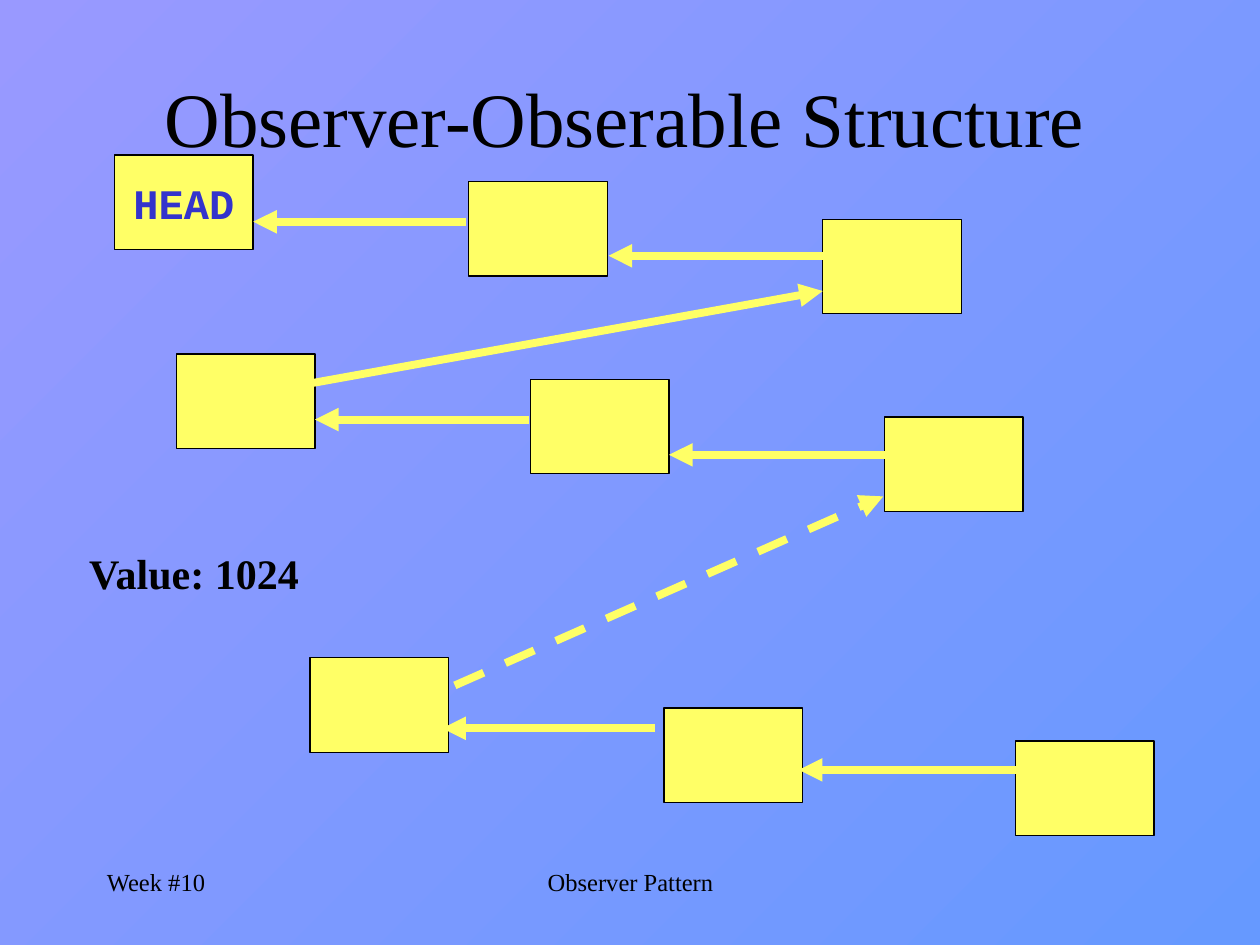
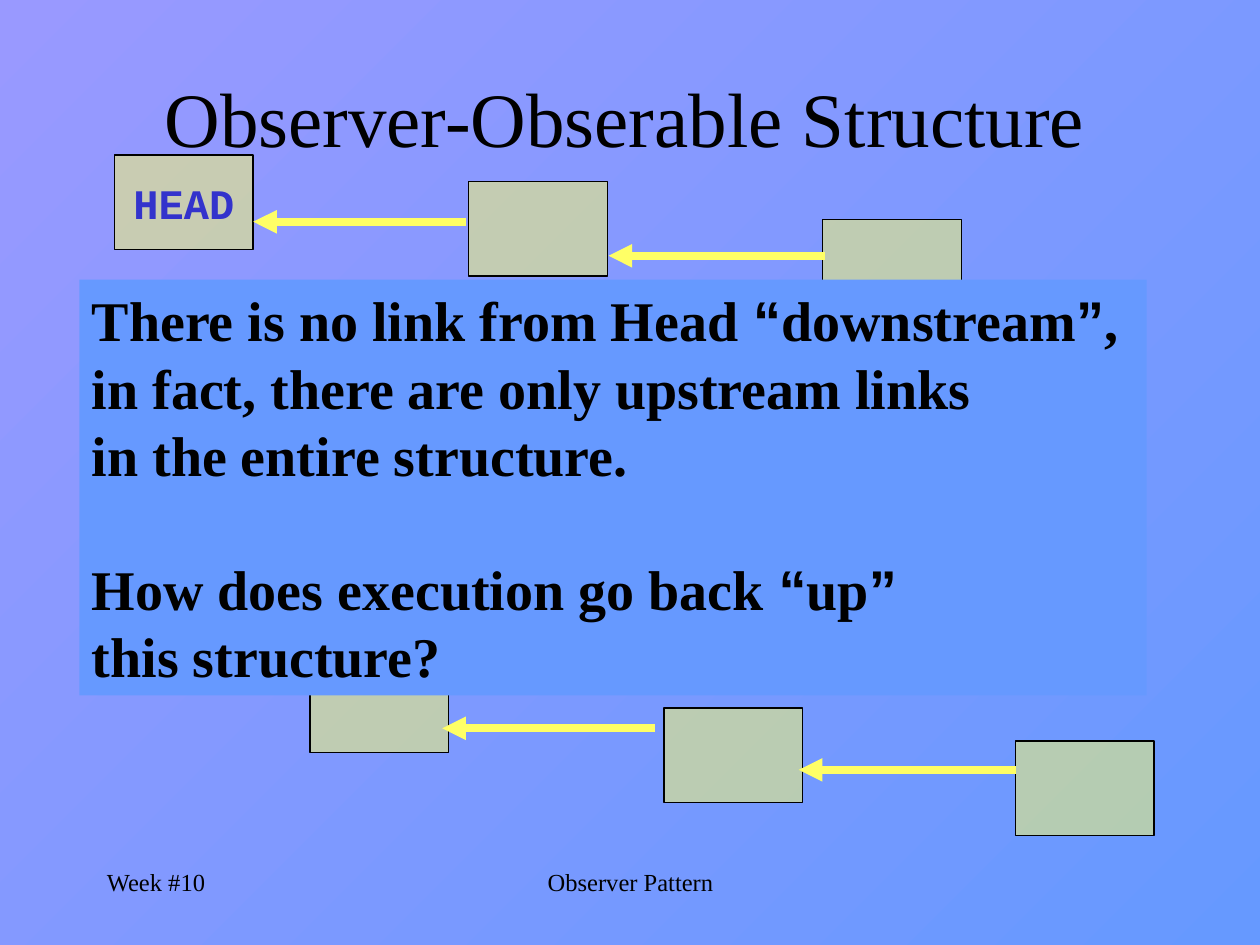
"""Build two slides about the observer structure and its upstream links."""
from lxml import etree
from pptx import Presentation
from pptx.dml.color import RGBColor
from pptx.enum.dml import MSO_LINE
from pptx.enum.shapes import MSO_CONNECTOR, MSO_SHAPE
from pptx.enum.text import MSO_ANCHOR, PP_ALIGN
from pptx.oxml.ns import qn
from pptx.util import Inches, Pt

DASH = MSO_LINE.DASH
STRAIGHT = MSO_CONNECTOR.STRAIGHT
RECTANGLE = MSO_SHAPE.RECTANGLE
TOP, MIDDLE = MSO_ANCHOR.TOP, MSO_ANCHOR.MIDDLE
LEFT, CENTER = PP_ALIGN.LEFT, PP_ALIGN.CENTER

COLORS = {
    "lilac": "9999FF",
    "sky": "6699FF",
    "yellow": "FFFF66",
    "ink": "000000",
    "head": "3333CC",
}
SERIF, SANS, MONO = "Times New Roman", "Arial", "Courier New"

TITLE = "Observer-Obserable Structure"
WEEK = "Week #10"
TOPIC = "Observer Pattern"
HEAD = "HEAD"
VALUE = "Value: 1024"
QUESTION = [
    "There is no link from Head “downstream”,",
    "in fact, there are only upstream links",
    "in the entire structure.",
    "How does execution go back “up”",
    "this structure?",
]
QUESTION_START = 3
QUESTION_PITCH = 38.4

NODE_SIZE = (1.1, 0.75)
TOP_NODES = [(0.91, 1.23), (3.72, 1.44), (6.53, 1.74)]
MIDDLE_NODES = [(1.4, 2.81), (4.21, 3.01), (7.02, 3.31)]
BOTTOM_NODES = [(2.46, 5.22), (5.27, 5.62), (8.06, 5.88)]

OUTER_LINKS = [
    ((3.7, 1.76), (2.01, 1.76)),
    ((6.55, 2.03), (4.83, 2.03)),
    ((5.2, 5.78), (3.51, 5.78)),
    ((8.06, 6.11), (6.34, 6.11)),
]
MIDDLE_LINKS = [
    ((4.2, 3.33), (2.5, 3.33)),
    ((7.06, 3.61), (5.31, 3.61)),
    ((2.48, 3.04), (6.53, 2.31)),
]
SKIPPED_LINK = ((3.61, 5.44), (7.01, 3.94))


def rgb(name):
    return RGBColor.from_string(COLORS[name])


def style_span(span, size, bold=False, font=SERIF, color="ink"):
    span.font.size = Pt(size)
    span.font.bold = bold
    span.font.name = font
    span.font.color.rgb = rgb(color)


def add_text(page, area, text, size, align=LEFT, anchor=TOP, bold=False):
    box = page.shapes.add_textbox(*map(Inches, area))
    frame = box.text_frame
    frame.word_wrap = True
    frame.vertical_anchor = anchor
    frame.text = text
    para = frame.paragraphs[0]
    para.alignment = align
    style_span(para.runs[0], size, bold)


def add_box(page, area, color):
    box = page.shapes.add_shape(RECTANGLE, *map(Inches, area))
    box.shadow.inherit = False
    box.fill.solid()
    box.fill.fore_color.rgb = rgb(color)
    box.line.fill.background()
    return box


def add_node(page, corner, opacity):
    node = add_box(page, corner + NODE_SIZE, "yellow")
    if opacity < 100:
        fill_color = node._element.spPr.find(qn("a:solidFill")).find(qn("a:srgbClr"))
        etree.SubElement(fill_color, qn("a:alpha"), val=str(opacity * 1000))
    node.line.color.rgb = rgb("ink")
    node.line.width = Pt(0.75)
    return node


def add_nodes(page, corners, opacity):
    head, *_ = [add_node(page, corner, opacity) for corner in corners]
    frame = head.text_frame
    frame.word_wrap = False
    frame.vertical_anchor = MIDDLE
    frame.text = HEAD
    para = frame.paragraphs[0]
    para.alignment = CENTER
    style_span(para.runs[0], 24, True, MONO, "head")


def add_link(page, start, end, dash=None):
    link = page.shapes.add_connector(STRAIGHT, *map(Inches, start + end))
    link.line.color.rgb = rgb("yellow")
    link.line.width = Pt(4.5)
    if dash is not None:
        link.line.dash_style = dash
    properties = link._element.spPr
    etree.SubElement(properties.find(qn("a:ln")), qn("a:tailEnd"), type="triangle")
    etree.SubElement(properties, qn("a:effectLst"))


def add_question(page):
    panel = add_box(page, (0.63, 2.22, 8.47, 3.3), "sky")
    frame = panel.text_frame
    frame.word_wrap = True
    frame.vertical_anchor = TOP
    frame.text = "\n".join(QUESTION)
    for index, para in enumerate(frame.paragraphs):
        para.alignment = LEFT
        para.line_spacing = Pt(QUESTION_PITCH)
        if index == QUESTION_START:
            para.space_before = Pt(QUESTION_PITCH)
        pieces = para.text.replace("“", "|“|").replace("”", "|”|").split("|")
        para.text = ""
        for piece in filter(None, pieces):
            span = para.add_run()
            span.text = piece
            style_span(span, 32, True, SANS if piece in "“”" else SERIF)


def add_page(deck):
    page = deck.slides.add_slide(deck.slide_layouts[6])
    fill = page.background.fill
    fill.gradient()
    fill.gradient_angle = 315
    for stop, name in zip(fill.gradient_stops, ("lilac", "sky")):
        stop.color.rgb = rgb(name)
    add_text(page, (0.75, 6.83, 2.08, 0.5), WEEK, 14)
    add_text(page, (3.42, 6.83, 3.17, 0.5), TOPIC, 14, CENTER)
    add_text(page, (0.71, 0.3, 8.5, 1.25), TITLE, 44, CENTER, MIDDLE)
    return page


def main():
    deck = Presentation()
    deck.slide_width, deck.slide_height = Inches(10), Inches(7.5)

    structure = add_page(deck)
    add_nodes(structure, TOP_NODES + MIDDLE_NODES + BOTTOM_NODES, 100)
    for start, end in OUTER_LINKS + MIDDLE_LINKS:
        add_link(structure, start, end)
    add_link(structure, *SKIPPED_LINK, DASH)
    add_text(structure, (0.61, 4.3, 2.09, 0.5), VALUE, 24, bold=True)

    question = add_page(deck)
    add_nodes(question, TOP_NODES + BOTTOM_NODES, 50)
    for start, end in OUTER_LINKS:
        add_link(question, start, end)
    add_question(question)

    deck.save("out.pptx")


if __name__ == "__main__":
    main()
